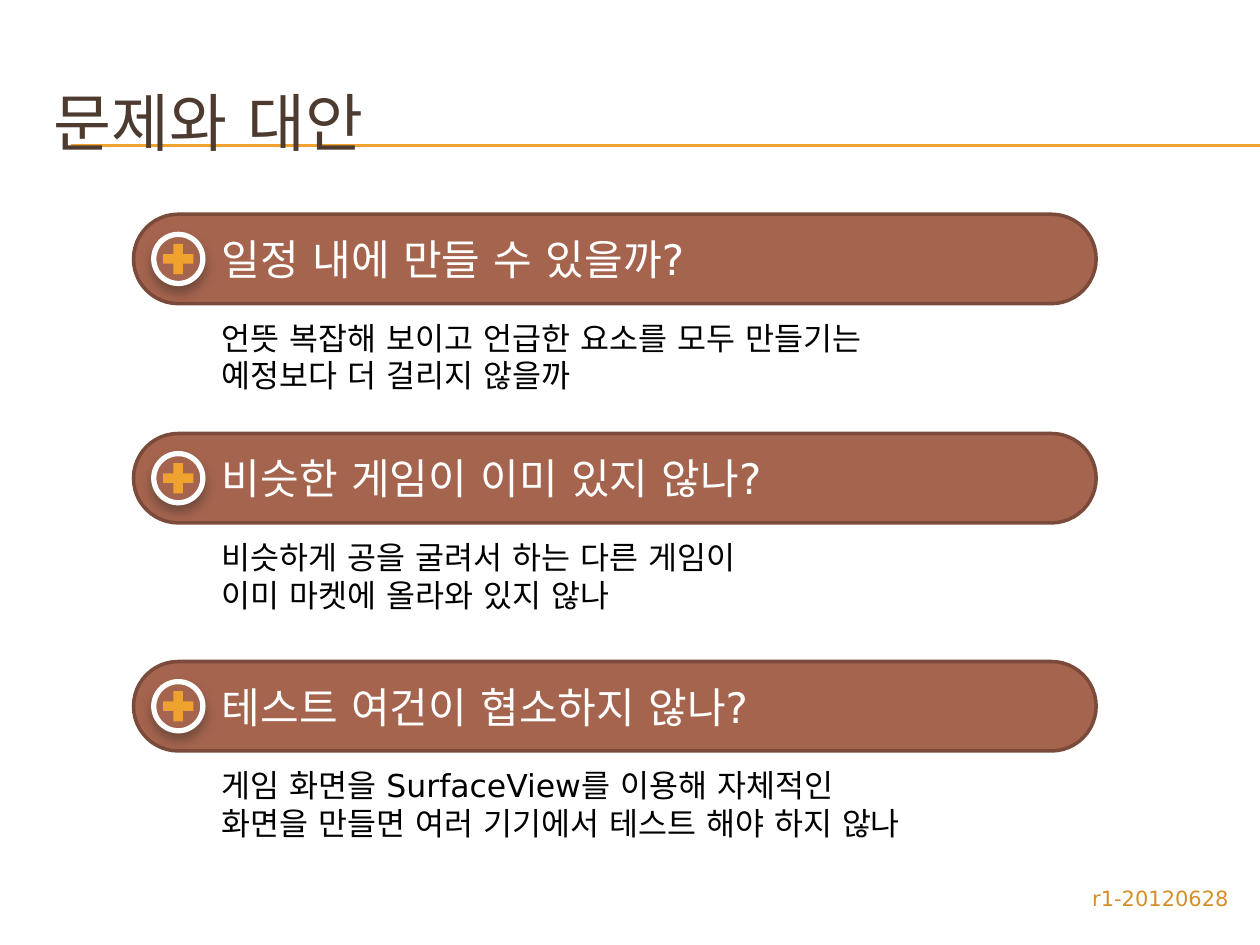
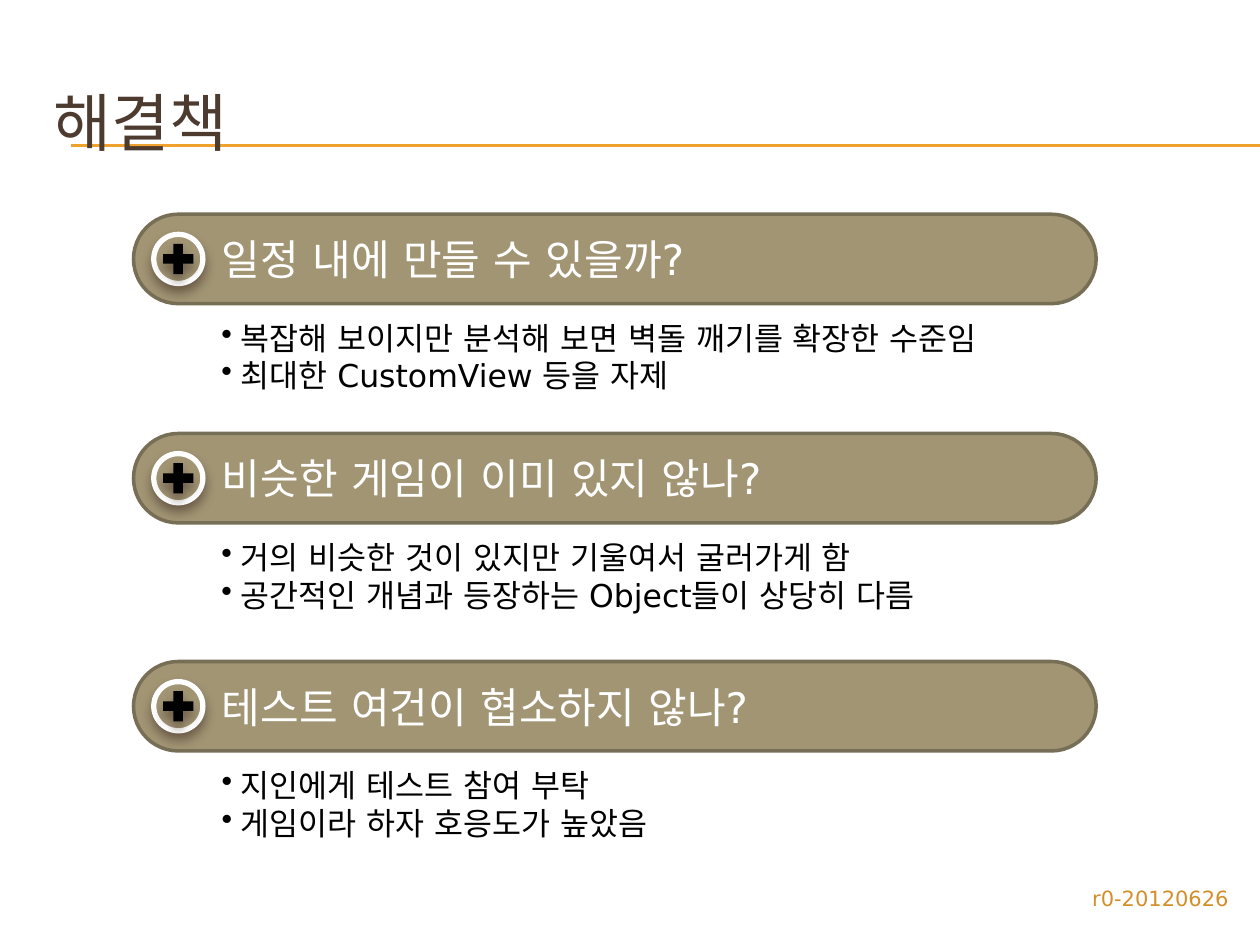
import pptx
import pptx.dml.color
import pptx.enum.shapes
import pptx.enum.text
import pptx.oxml.ns
import pptx.util
from lxml import etree

RGBColor = pptx.dml.color.RGBColor
Inches = pptx.util.Inches
Pt = pptx.util.Pt
SHAPE = pptx.enum.shapes.MSO_SHAPE
ALIGN = pptx.enum.text.PP_ALIGN
MIDDLE = pptx.enum.text.MSO_ANCHOR.MIDDLE
qn = pptx.oxml.ns.qn

WHITE = RGBColor(0xFF, 0xFF, 0xFF)
BLACK = RGBColor(0, 0, 0)
BROWN = RGBColor(0x4E, 0x3B, 0x30)
GOLD = RGBColor(0xF0, 0xA2, 0x2E)
AMBER = RGBColor(0xD4, 0x8F, 0x29)
RUST = RGBColor(0xA5, 0x64, 0x4E)
RUST_EDGE = RGBColor(0x7A, 0x4A, 0x3A)
KHAKI = RGBColor(0xA1, 0x95, 0x74)
KHAKI_EDGE = RGBColor(0x77, 0x6E, 0x56)

FONT = "DejaVu Sans"
WIDTH, HEIGHT = 10, 7.5
BAR_LEFT, BAR_WIDTH, BAR_HEIGHT = 1.06, 7.64, 0.71
BAR_TOPS = (1.7, 3.44, 5.25)
RING, PLUS = 0.39, 0.24
NOTE_LEFT, NOTE_DROP = 1.66, 0.78

ASKS = ("일정 내에 만들 수 있을까?", "비슷한 게임이 이미 있지 않나?", "테스트 여건이 협소하지 않나?")
# Each note: box width, then its lines
DOUBTS = (
    (5.47, "언뜻 복잡해 보이고 언급한 요소를 모두 만들기는", "예정보다 더 걸리지 않을까"),
    (4.44, "비슷하게 공을 굴려서 하는 다른 게임이", "이미 마켓에 올라와 있지 않나"),
    (5.8, "게임 화면을 SurfaceView를 이용해 자체적인", "화면을 만들면 여러 기기에서 테스트 해야 하지 않나"),
)
FIXES = (
    (6.54, "복잡해 보이지만 분석해 보면 벽돌 깨기를 확장한 수준임", "최대한 CustomView 등을 자제"),
    (6, "거의 비슷한 것이 있지만 기울여서 굴러가게 함", "공간적인 개념과 등장하는 Object들이 상당히 다름"),
    (3.81, "지인에게 테스트 참여 부탁", "게임이라 하자 호응도가 높았음"),
)


def style(frame, size, color, align=ALIGN.LEFT):
    frame.word_wrap = True
    for par in frame.paragraphs:
        par.alignment = align
        for run in par.runs:
            run.font.size = Pt(size)
            run.font.name = FONT
            run.font.color.rgb = color
            east = etree.SubElement(run.font._element, qn("a:ea"))
            east.set("typeface", FONT)


def indent(par, left, first=0, bullet=None):
    props = par._p.get_or_add_pPr()
    props.set("marL", str(Inches(left)))
    props.set("indent", str(Inches(first)))
    if bullet:
        etree.SubElement(props, qn("a:buChar")).set("char", bullet)


def add_text(slide, box, text, size, color, align=ALIGN.LEFT):
    frame = slide.shapes.add_textbox(*map(Inches, box)).text_frame
    frame.text = text
    style(frame, size, color, align)
    return frame


def add_form(group, kind, box, fill, edge=None, weight=0):
    form = group.shapes.add_shape(kind, *map(Inches, box))
    form.shadow.inherit = False
    form.fill.solid()
    form.fill.fore_color.rgb = fill
    if edge is None:
        form.line.fill.background()
    else:
        form.line.color.rgb = edge
        form.line.width = Pt(weight)
    return form


def drop_shadow(form):
    effects = form._element.spPr.find(qn("a:effectLst"))
    outer = etree.SubElement(effects, qn("a:outerShdw"), blurRad=str(Pt(6)),
                             dist=str(Pt(4)), dir="5400000", rotWithShape="0")
    color = etree.SubElement(outer, qn("a:srgbClr"), val=str(BROWN))
    etree.SubElement(color, qn("a:alpha"), val="60000")


def add_rule(slide, top):
    line = slide.shapes.add_connector(
        pptx.enum.shapes.MSO_CONNECTOR.STRAIGHT,
        Inches(0.56), Inches(top), Inches(WIDTH), Inches(top))
    line.line.color.rgb = GOLD
    line.line.width = Pt(0.75)
    etree.SubElement(line._element.spPr, qn("a:effectLst"))


def add_bar(slide, top, text, fill, edge, mark, raised):
    """Add a pill with a ringed plus sign centred in its round left end."""
    group = slide.shapes.add_group_shape()
    bar = add_form(group, SHAPE.ROUNDED_RECTANGLE,
                   (BAR_LEFT, top, BAR_WIDTH, BAR_HEIGHT), fill, edge, 2)
    bar.adjustments[0] = 0.5
    frame = bar.text_frame
    frame.text = text
    frame.vertical_anchor = MIDDLE
    style(frame, 24, WHITE)
    indent(frame.paragraphs[0], 0.5)

    def centred(size):
        gap = (BAR_HEIGHT - size) / 2
        return BAR_LEFT + gap, top + gap, size, size

    drop_shadow(add_form(group, SHAPE.OVAL, centred(RING), fill, WHITE, 3))
    plus = add_form(group, SHAPE.CROSS, centred(PLUS), mark)
    plus.adjustments[0] = 0.343
    if raised:
        drop_shadow(plus)


def add_note(slide, top, width, lines, bullet):
    box = NOTE_LEFT, top + NOTE_DROP, width, BAR_HEIGHT
    frame = add_text(slide, box, "\n".join(lines), 18, BLACK)
    if bullet:
        for par in frame.paragraphs:
            indent(par, 0.15, -0.15, bullet)


def add_page(deck, title, notes, stamp, fill, edge, mark, raised=False, bullet=None):
    slide = deck.slides.add_slide(deck.slide_layouts[6])
    for top in (1.15, 1.16):
        add_rule(slide, top)
    head = add_text(slide, (0.33, 0.5, 0.95 * WIDTH, 0.92), title, 36, BROWN)
    head.vertical_anchor = MIDDLE
    for top, ask, (width, *lines) in zip(BAR_TOPS, ASKS, notes):
        add_bar(slide, top, ask, fill, edge, mark, raised)
        add_note(slide, top, width, lines, bullet)
    add_text(slide, (6.18, 6.98, 3.67, 0.32), stamp, 12, AMBER, ALIGN.RIGHT)


def main():
    deck = pptx.Presentation()
    deck.slide_width, deck.slide_height = Inches(WIDTH), Inches(HEIGHT)
    add_page(deck, "문제와 대안", DOUBTS, "r1-20120628", RUST, RUST_EDGE, GOLD)
    add_page(deck, "해결책", FIXES, "r0-20120626", KHAKI, KHAKI_EDGE, BLACK,
             raised=True, bullet="•")
    deck.save("out.pptx")


if __name__ == "__main__":
    main()
